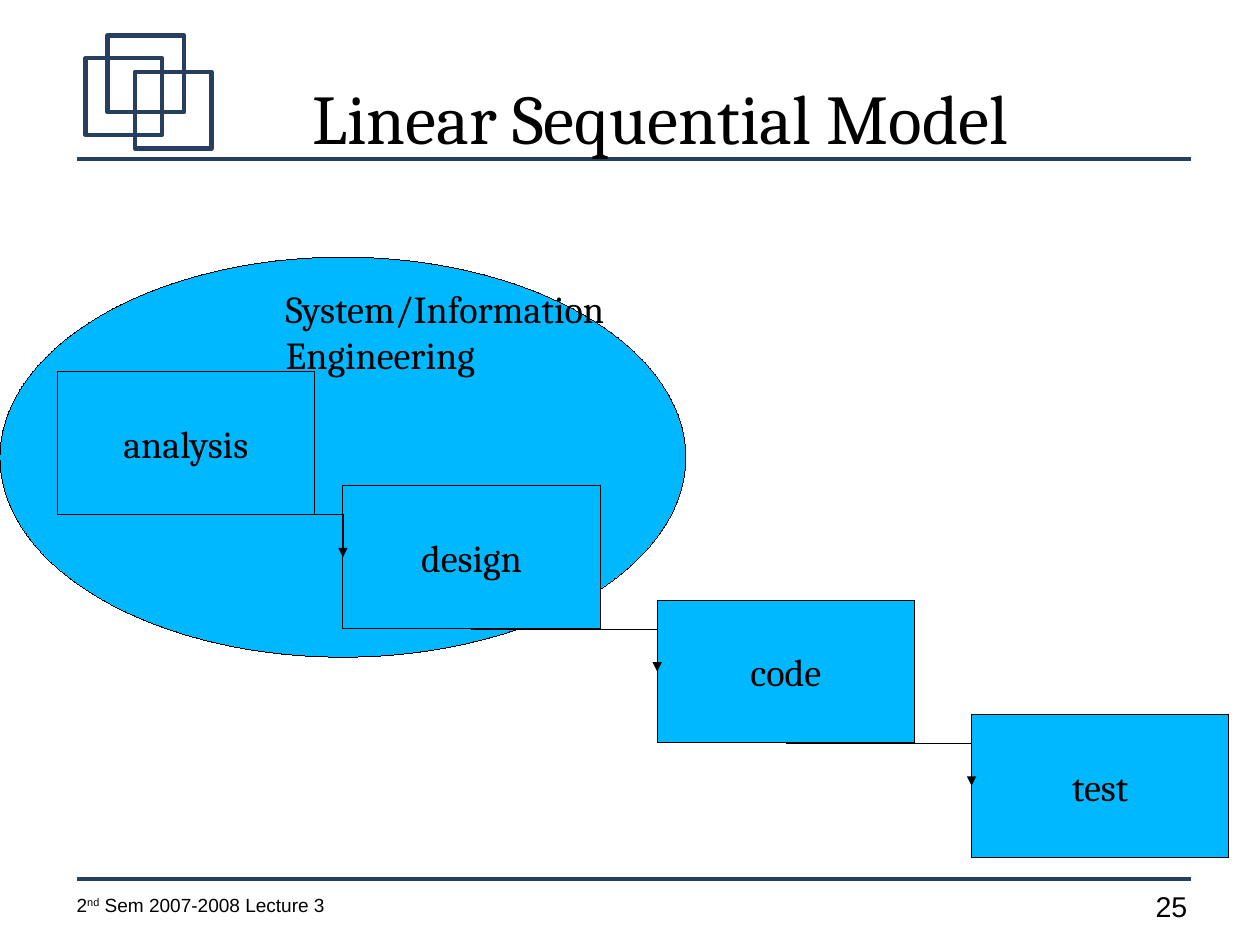
"""Build the Linear Sequential Model slide."""
import dataclasses

import pptx
import pptx.dml.color
import pptx.enum.shapes
import pptx.enum.text
import pptx.oxml
import pptx.oxml.ns
import pptx.util

Inches = pptx.util.Inches
Pt = pptx.util.Pt
RGB = pptx.dml.color.RGBColor
SHAPE = pptx.enum.shapes.MSO_SHAPE
CONNECTOR = pptx.enum.shapes.MSO_CONNECTOR
ALIGN = pptx.enum.text.PP_ALIGN
ANCHOR = pptx.enum.text.MSO_ANCHOR
AUTO_SIZE = pptx.enum.text.MSO_AUTO_SIZE
qn = pptx.oxml.ns.qn
NS_A = pptx.oxml.ns.nsdecls("a")


@dataclasses.dataclass(frozen=True)
class Theme:
    ink: RGB = RGB(0, 0, 0)
    navy: RGB = RGB(0x26, 0x3E, 0x60)
    sky: RGB = RGB(0x00, 0xB8, 0xFF)
    serif: str = "Cambria"
    sans: str = "Arial"
    title: Pt = Pt(44)
    label: Pt = Pt(24)
    number: Pt = Pt(18)
    footer: Pt = Pt(12)
    rule: Pt = Pt(2.83)
    hairline: Pt = Pt(0)


THEME = Theme()
BOX_W, BOX_H = 2.25, 1.25


def set_attrs(target, values):
    for name, value in values.items():
        setattr(target, name, value)


def set_frame(tf, anchor=ANCHOR.TOP):
    set_attrs(tf, {
        "margin_left": 0, "margin_top": 0, "margin_right": 0,
        "margin_bottom": 0, "word_wrap": True,
        "auto_size": AUTO_SIZE.NONE, "vertical_anchor": anchor,
    })


def set_line(line, color, width):
    line.color.rgb = color
    line._get_or_add_ln().set("w", str(int(width)))


def add_run(p, text, size, font=THEME.serif):
    r = p.add_run()
    r.text = text
    set_attrs(r.font, {"name": font, "size": size})
    r.font.color.rgb = THEME.ink
    return r


def add_text(s, x, y, w, h):
    sp = s.shapes.add_textbox(Inches(x), Inches(y), Inches(w), Inches(h))
    set_frame(sp.text_frame)
    return sp.text_frame.paragraphs[0]


def add_figure(s, kind, x, y, w, h, fill=None, line=THEME.ink, width=THEME.hairline):
    sp = s.shapes.add_shape(kind, Inches(x), Inches(y), Inches(w), Inches(h))
    sp.shadow.inherit = False
    if fill is None:
        sp.fill.background()
    else:
        sp.fill.solid()
        sp.fill.fore_color.rgb = fill
    set_line(sp.line, line, width)
    return sp


def add_line(s, kind, x1, y1, x2, y2, color, width):
    line = s.shapes.add_connector(kind, Inches(x1), Inches(y1), Inches(x2), Inches(y2))
    set_line(line.line, color, width)
    line._element.spPr.append(pptx.oxml.parse_xml(f"<a:effectLst {NS_A}/>"))
    return line


def add_step(s, name, x, y):
    sp = add_figure(s, SHAPE.RECTANGLE, x, y, BOX_W, BOX_H, THEME.sky)
    set_frame(sp.text_frame, ANCHOR.MIDDLE)
    p = sp.text_frame.paragraphs[0]
    p.alignment = ALIGN.CENTER
    add_run(p, name, THEME.label)


def add_step_arrow(s, start, end):
    (x1, y1), (x2, y2) = start, end
    arrow = add_line(s, CONNECTOR.ELBOW, x1 + BOX_W / 2, y1 + BOX_H,
                     x2, y2 + BOX_H / 2, THEME.ink, THEME.hairline)
    arrow._element.spPr.find(qn("a:prstGeom")).set("prst", "bentConnector2")
    tail = pptx.oxml.parse_xml(f"<a:tailEnd {NS_A} type='triangle'/>")
    arrow.line._get_or_add_ln().append(tail)


def add_frame(s):
    for y in (7.69, 1.39):
        add_line(s, CONNECTOR.STRAIGHT, 0.67, y, 10.42, y, THEME.navy, THEME.rule)
    p = add_text(s, 0.67, 7.82, 2.82, 0.27)
    for text, baseline in (("2", 0), ("nd", 33000), (" Sem 2007-2008 Lecture 3", 0)):
        r = add_run(p, text, THEME.footer, THEME.sans)
        r.font._element.set("baseline", str(baseline))
    add_run(add_text(s, 10.11, 7.78, 0.4, 0.34), "25", THEME.number, THEME.sans)
    for x, y in ((0.75, 0.51), (0.94, 0.31), (1.18, 0.63)):
        add_figure(s, SHAPE.RECTANGLE, x, y, 0.67, 0.67,
                   line=THEME.navy, width=THEME.rule)


def add_title(s, text):
    title = s.shapes.title
    set_attrs(title, {"left": Inches(0.82), "top": Inches(0.33),
                      "width": Inches(9.92), "height": Inches(1.38)})
    set_frame(title.text_frame, ANCHOR.MIDDLE)
    p = title.text_frame.paragraphs[0]
    p.alignment = ALIGN.CENTER
    add_run(p, text, THEME.title)
    s.shapes._spTree.append(title._element)


def main():
    prs = pptx.Presentation()
    prs.slide_width = pptx.util.Cm(28)
    prs.slide_height = pptx.util.Cm(21)
    s = prs.slides.add_slide(prs.slide_layouts[5])
    add_frame(s)
    add_title(s, "Linear Sequential Model")
    add_figure(s, SHAPE.OVAL, 0, 2.25, 6, 3.5, THEME.sky)
    names = ("analysis", "design", "code", "test")
    lefts = (0.5, 3, 5.75, 8.5)
    corners = [(x, 3.25 + i) for i, x in enumerate(lefts)]
    for name, corner in zip(names, corners):
        add_step(s, name, *corner)
    for start, end in zip(corners, corners[1:]):
        add_step_arrow(s, start, end)
    add_run(add_text(s, 2.5, 2.5, 4, 0.78),
            "System/Information Engineering", THEME.label)
    prs.save("out.pptx")


if __name__ == "__main__":
    main()
